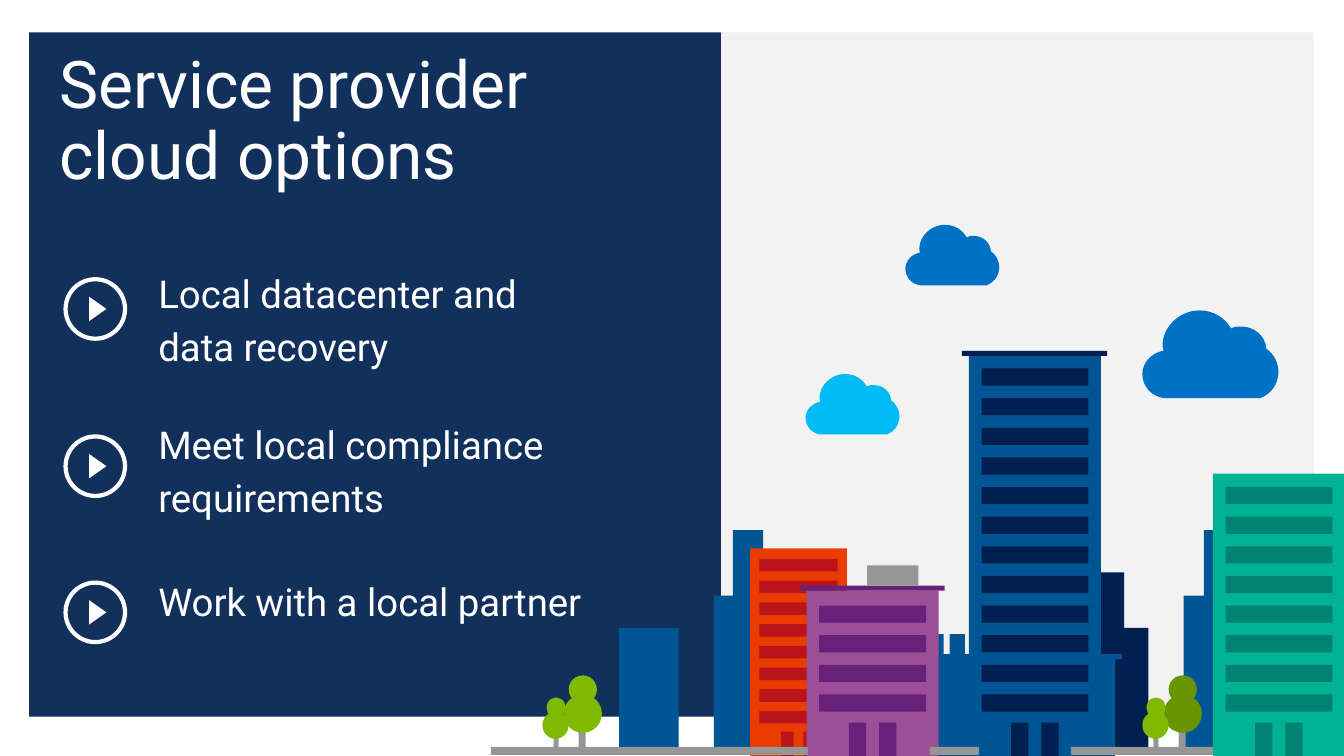
from dataclasses import dataclass
from typing import NamedTuple

from lxml.etree import SubElement
from pptx import Presentation
from pptx.dml.color import RGBColor
from pptx.enum.shapes import MSO_SHAPE as Shape
from pptx.enum.text import MSO_ANCHOR as Anchor, PP_ALIGN as Align
from pptx.oxml.ns import qn
from pptx.util import Inches, Pt


@dataclass(frozen=True)
class Theme:
    font: str = "Roboto"
    title_size: float = 47
    list_size: float = 27.4
    white: str = "FFFFFF"
    backdrop: str = "F2F2F2"
    navy: str = "002050"
    blue: str = "005694"
    cloud: str = "0072C6"
    sky: str = "00BCF2"
    orange: str = "EB3C00"
    red: str = "BA141A"
    lilac: str = "9B4F96"
    purple: str = "68217A"
    teal: str = "00B294"
    pine: str = "008272"
    grey: str = "969696"
    lime: str = "7FBA00"
    olive: str = "689600"


class Box(NamedTuple):
    x: float
    y: float
    w: float
    h: float


class Tower(NamedTuple):
    x: float
    top: float
    wall: str
    trim: str
    floors: int
    scale: float = 1.0
    roof: bool = False


class Cloud(NamedTuple):
    x: float
    y: float
    scale: float
    color: str


class Tree(NamedTuple):
    x: float
    tall: str
    small: str


T = Theme()
GROUND = 7.5
PANEL = Box(0.29, 0.32, 6.86, 6.79)

# Skyline parts
BACK_BLOCKS = [
    (Box(11.74, 5.91, 0.31, 1.51), T.blue), (Box(11.94, 5.26, 0.31, 2.16), T.blue),
    (Box(10.8, 6.23, 0.59, 1.18), T.navy), (Box(10.56, 5.68, 0.59, 1.74), T.navy),
    (Box(7.08, 5.91, 0.31, 1.51), T.blue), (Box(7.27, 5.26, 0.3, 2.16), T.blue),
    (Box(6.14, 6.23, 0.59, 1.18), T.blue),
]
RED_TOWER = Tower(7.44, 5.44, T.orange, T.red, 8, scale=0.733)
FRONT_TOWERS = [
    Tower(8, 5.86, T.lilac, T.purple, 4, roof=True),
    Tower(9.61, 3.53, T.blue, T.navy, 12, roof=True),
    Tower(12.03, 4.7, T.teal, T.pine, 8),
]
GREY_PARTS = [
    Box(4.87, 7.41, 3.14, 0.08), Box(8.6, 5.61, 0.51, 0.2),
    Box(9.22, 7.41, 0.49, 0.08), Box(10.62, 7.41, 1.41, 0.08),
]
HALL_LEFTS = [8.93, 9.69]
HALL = [
    (0.64, 6.49), (0.64, 6.29), (0.49, 6.29), (0.49, 6.49), (0.43, 6.49), (0.43, 6.29),
    (0.28, 6.29), (0.28, 6.49), (0, 6.49), (0, 6.54), (0.06, 6.54), (0.06, GROUND),
    (1.37, GROUND), (1.37, 6.54), (1.44, 6.54), (1.44, 6.49),
]
CLOUDS = [
    Cloud(11.33, 3.08, 1, T.cloud),
    Cloud(8.98, 2.23, 0.69, T.cloud),
    Cloud(7.99, 3.71, 0.69, T.sky),
]
# One point is a straight edge, three points are a curve
CLOUD_START = (0.57, 0)
CLOUD_EDGES = [
    ((0.7, 0), (0.82, 0.07), (0.88, 0.18)),
    ((0.91, 0.16), (0.95, 0.16), (0.98, 0.16)),
    ((1.11, 0.16), (1.22, 0.25), (1.23, 0.38)),
    ((1.3, 0.43), (1.35, 0.51), (1.35, 0.62)),
    ((1.34, 0.75), (1.27, 0.83), (1.17, 0.87)),
    ((0.22, 0.87),),
    ((0.1, 0.86), (0, 0.76), (0, 0.63)),
    ((0, 0.52), (0.09, 0.42), (0.21, 0.4)),
    ((0.21, 0.39), (0.2, 0.37), (0.2, 0.35)),
    ((0.2, 0.16), (0.37, 0), CLOUD_START),
]
TREES = [Tree(5.38, T.lime, T.lime), Tree(11.33, T.olive, T.lime)]
BULLET_TOPS = [2.77, 4.33, 5.78]

prs = Presentation()
prs.slide_width, prs.slide_height = Inches(13.33), Inches(7.5)
shapes = prs.slides.add_slide(prs.slide_layouts[6]).shapes


def paint(sp, color: str | None, line: str | None = None) -> None:
    sp.shadow.inherit = False
    if color:
        sp.fill.solid()
        sp.fill.fore_color.rgb = RGBColor.from_string(color)
    else:
        sp.fill.background()
    if line:
        sp.line.color.rgb = RGBColor.from_string(line)
        sp.line.width = Pt(3)
    else:
        sp.line.fill.background()


def draw(box: Box, color: str | None, kind=Shape.RECTANGLE, line: str | None = None):
    sp = shapes.add_shape(kind, *map(Inches, box))
    paint(sp, color, line)
    return sp


def outline(points: list[tuple[float, float]], color: str):
    pts = [(Inches(x), Inches(y)) for x, y in points]
    builder = shapes.build_freeform(*pts[0])
    builder.add_line_segments(pts[1:], close=True)
    sp = builder.convert_to_shape()
    paint(sp, color)
    return sp


def text(box: Box, paragraphs: list[str], *, size: float, spacing: float,
         gaps: tuple[float, ...] = (0,)) -> None:
    tf = shapes.add_textbox(*map(Inches, box)).text_frame
    tf.word_wrap, tf.vertical_anchor = True, Anchor.TOP
    tf.margin_left, tf.margin_top = Inches(0.29), Inches(0.2)
    tf.margin_right, tf.margin_bottom = Inches(0.2), Inches(0.16)
    for i, (content, gap) in enumerate(zip(paragraphs, gaps)):
        p = tf.add_paragraph() if i else tf.paragraphs[0]
        p.text = content.replace("\n", "\v")
        p.alignment, p.line_spacing, p.space_before = Align.LEFT, spacing, Pt(gap)
        for r in p.runs:
            r.font.name, r.font.size = T.font, Pt(size)
            r.font.color.rgb = RGBColor.from_string(T.white)


def draw_tower(t: Tower) -> None:
    k = t.scale
    draw(Box(t.x, t.top, 1.31 * k, GROUND - t.top), t.wall)
    if t.roof:
        draw(Box(t.x - 0.07, t.top - 0.05, 1.44, 0.05), t.trim)
    for dx in (0.42, 0.72):
        draw(Box(t.x + dx * k, GROUND - 0.33 * k, 0.17 * k, 0.33 * k), t.trim)
    for floor in range(t.floors):
        y = GROUND - (0.61 + 0.294 * floor) * k
        draw(Box(t.x + 0.125 * k, y, 1.06 * k, 0.17 * k), t.trim)


def draw_cloud(c: Cloud) -> None:
    points = [CLOUD_START, *(pt for edge in CLOUD_EDGES for pt in edge)]
    sp = outline([(c.x + x * c.scale, c.y + y * c.scale) for x, y in points], c.color)
    # Turn each three-point edge into a Bézier curve
    lines = iter(list(sp._element.iter(qn("a:lnTo"))))
    for edge in CLOUD_EDGES:
        first, *rest = [next(lines) for _ in edge]
        if rest:
            first.tag = qn("a:cubicBezTo")
            for line in rest:
                first.append(line[0])
                line.getparent().remove(line)


def draw_tree(t: Tree) -> None:
    draw(Box(t.x + 0.36, 7.15, 0.07, 0.28), T.grey)
    draw(Box(t.x + 0.21, 6.89, 0.38, 0.38), t.tall, Shape.OVAL)
    draw(Box(t.x + 0.26, 6.7, 0.28, 0.28), t.tall, Shape.OVAL)
    draw(Box(t.x + 0.11, 7.23, 0.05, 0.2), T.grey)
    draw(Box(t.x, 7.06, 0.26, 0.27), t.small, Shape.OVAL)
    draw(Box(t.x + 0.04, 6.92, 0.19, 0.2), t.small, Shape.OVAL)


def main() -> None:
    # Backdrop and translucent panel
    draw(PANEL._replace(w=12.74), T.backdrop)
    panel = draw(PANEL, T.navy)
    tint = panel.fill._xPr.find(".//" + qn("a:srgbClr"))
    SubElement(tint, qn("a:alpha"), val="92000")

    # Title and list
    text(Box(0.3, 0.31, 6.86, 1.84), ["Service provider\ncloud options"],
         size=T.title_size, spacing=0.9)
    text(Box(1.28, 2.42, 5.88, 1.84),
         ["Local datacenter and\ndata recovery", "Meet local compliance requirements",
          "Work with a local partner"],
         size=T.list_size, spacing=1.14, gaps=(0, 33, 37))
    for y in BULLET_TOPS:
        draw(Box(0.65, y, 0.59, 0.59), None, Shape.OVAL, line=T.white)
        draw(Box(0.85, y + 0.21, 0.24, 0.17), T.white, Shape.ISOSCELES_TRIANGLE).rotation = 90

    # City, back to front
    for box, color in BACK_BLOCKS:
        draw(box, color)
    draw_tower(RED_TOWER)
    for left in HALL_LEFTS:
        outline([(left + x, y) for x, y in HALL], T.blue)
    for tower in FRONT_TOWERS:
        draw_tower(tower)
    for box in GREY_PARTS:
        draw(box, T.grey)

    # Clouds and trees
    for cloud in CLOUDS:
        draw_cloud(cloud)
    for tree in TREES:
        draw_tree(tree)
    prs.save("out.pptx")


if __name__ == "__main__":
    main()
